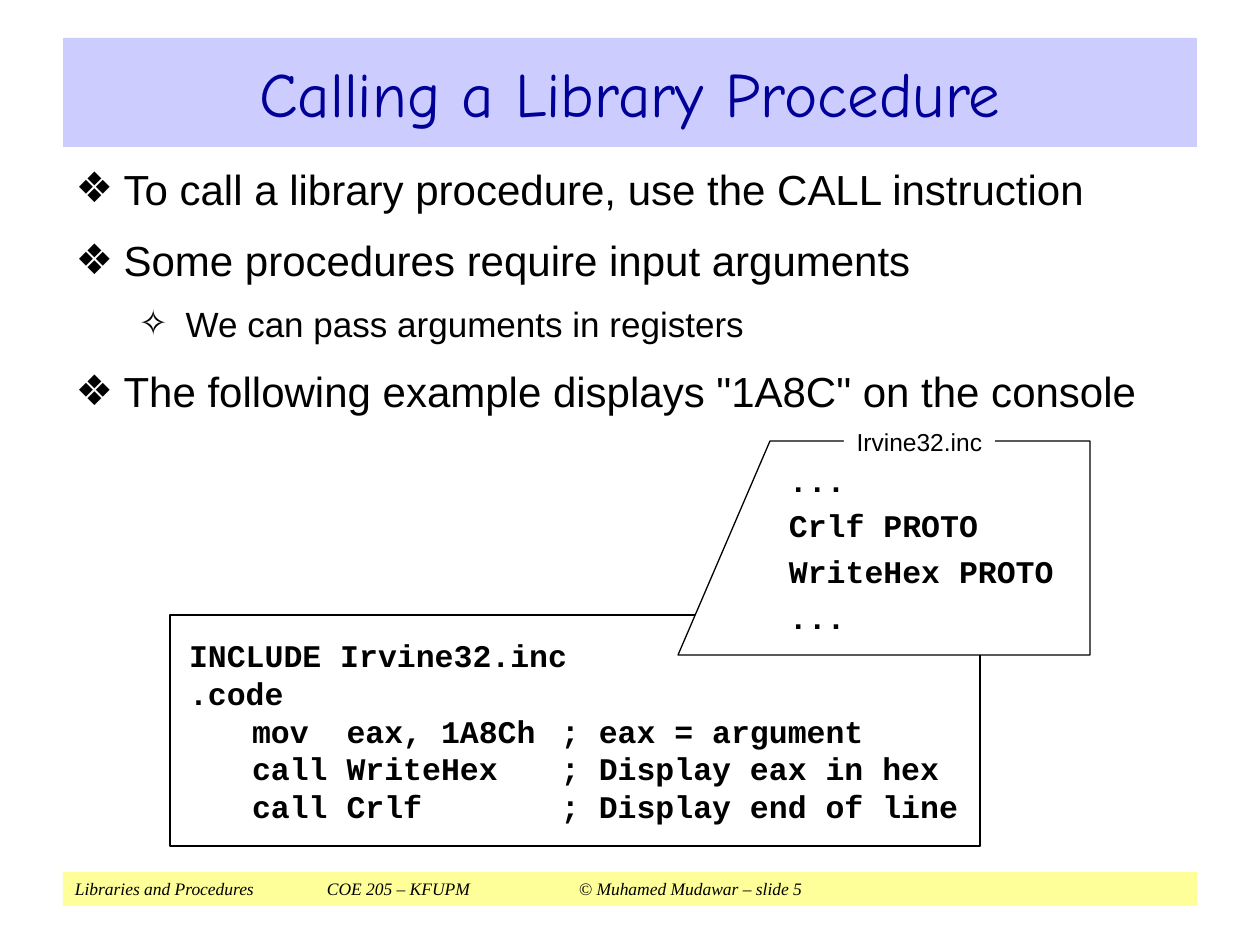
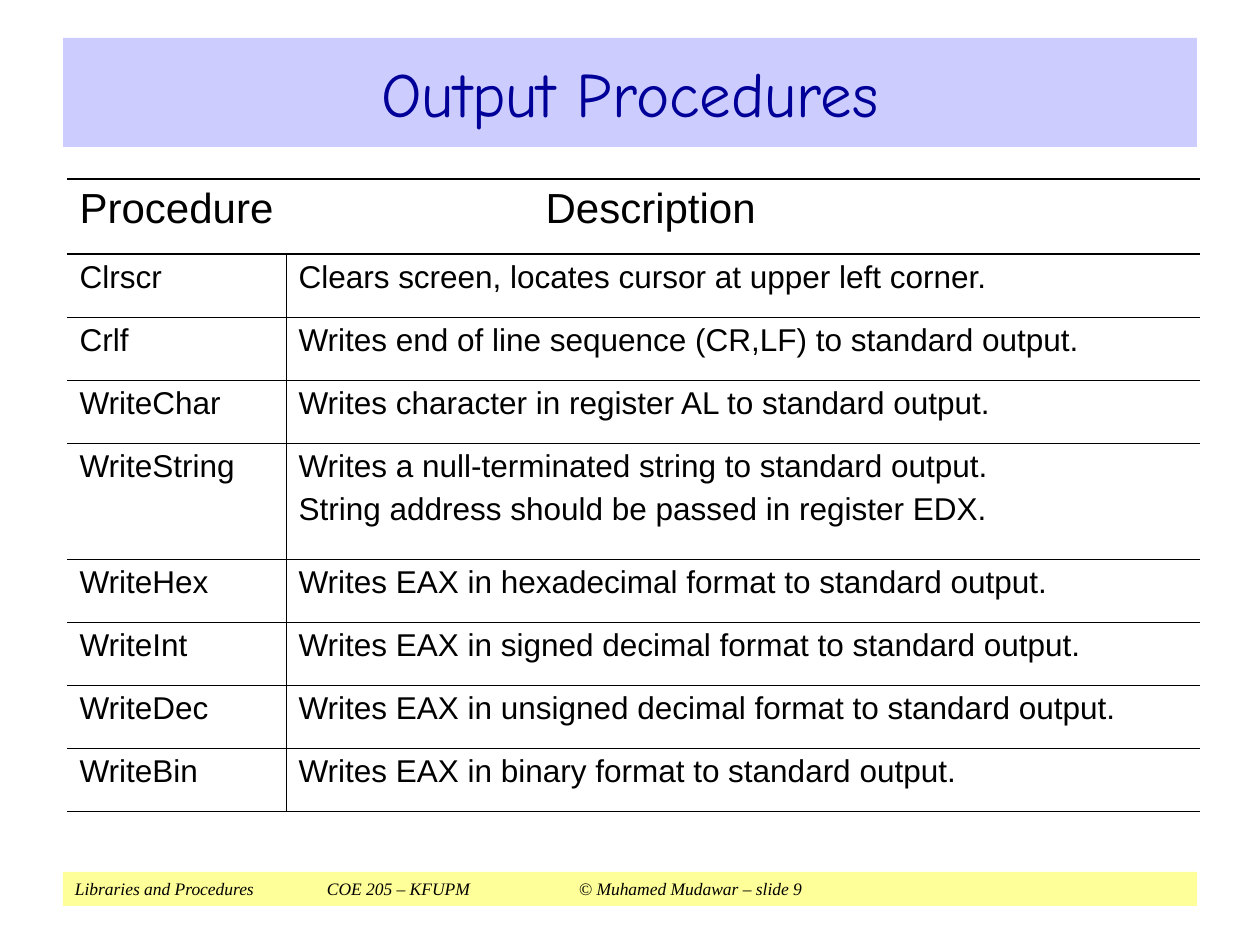
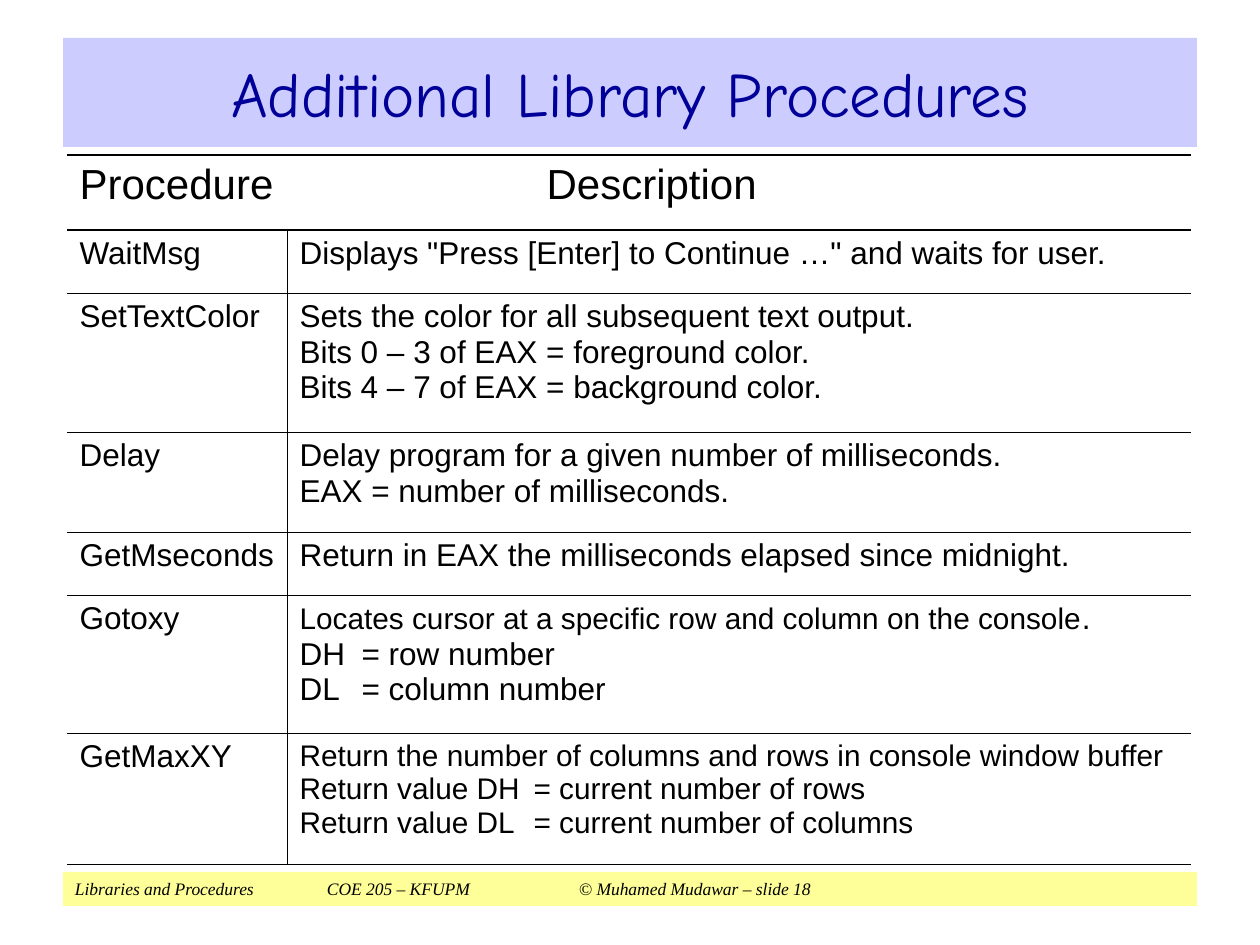
import dataclasses
import typing

import lxml.etree
import pptx
import pptx.dml.color
import pptx.enum.shapes
import pptx.enum.text
import pptx.oxml.ns
import pptx.util

RGB = pptx.dml.color.RGBColor
Pt = pptx.util.Pt
ALIGN = pptx.enum.text.PP_ALIGN
ANCHOR = pptx.enum.text.MSO_ANCHOR

SCALE = 914400 / 126  # EMU in one px
BLACK = RGB(0x00, 0x00, 0x00)
WHITE = RGB(0xFF, 0xFF, 0xFF)
NAVY = RGB(0x00, 0x00, 0x99)
LILAC = RGB(0xCC, 0xCC, 0xFF)
YELLOW = RGB(0xFF, 0xFF, 0x99)
THIN = 0.45


@dataclasses.dataclass(frozen=True)
class Style:
    font: str
    size: int
    color: RGB = BLACK
    bold: bool = False
    italic: bool = False


@dataclasses.dataclass(frozen=True)
class Box:
    left: int
    top: int
    width: int
    height: int


@dataclasses.dataclass(frozen=True)
class Bullet:
    char: str
    left: int
    hang: int
    space: int
    style: Style


@dataclasses.dataclass(frozen=True)
class Row:
    name: str
    text: str
    height: int = 63
    tabs: tuple[int, ...] = ()
    small: int = 0  # number of leading lines in the small style


@dataclasses.dataclass(frozen=True)
class Grid:
    top: int
    widths: tuple[int, int]
    head: int
    rule: float
    space: float
    rows: tuple[Row, ...]


TITLE = Style("Comic Neue", 36, NAVY)
LARGE = Style("Arial", 24)
MEDIUM = Style("Arial", 20)
CELL = Style("Arial", 18)
SMALL = Style("Arial", 17)
LABEL = Style("Arial", 14)
CODE = Style("Courier New", 18, bold=True)
FOOTER = Style("Times New Roman", 10, italic=True)

BAND = Box(63, 38, 1134, 109)
BODY = Box(63, 157, 1134, 709)
FOOT = Box(63, 872, 1134, 34)
BULLETS = (Bullet("❖", 48, 48, 12, LARGE), Bullet("✧", 110, 47, 10, MEDIUM))

POINTS = (
    (0, "To call a library procedure, use the CALL instruction"),
    (0, "Some procedures require input arguments"),
    (1, "We can pass arguments in registers"),
    (0, 'The following example displays "1A8C" on the console'),
)
PROGRAM = """INCLUDE Irvine32.inc
.code
\tmov  eax, 1A8Ch\t; eax = argument
\tcall WriteHex\t; Display eax in hex
\tcall Crlf\t; Display end of line"""
PROTOS = "...\nCrlf PROTO\nWriteHex PROTO\n..."

OUTPUT = Grid(179, (219, 914), 75, 1.08, 4.5, (
    Row("Clrscr", "Clears screen, locates cursor at upper left corner."),
    Row("Crlf", "Writes end of line sequence (CR,LF) to standard output."),
    Row("WriteChar", "Writes character in register AL to standard output."),
    Row("WriteString", "Writes a null-terminated string to standard output.\n"
        "String address should be passed in register EDX.", 116),
    Row("WriteHex", "Writes EAX in hexadecimal format to standard output."),
    Row("WriteInt", "Writes EAX in signed decimal format to standard output."),
    Row("WriteDec", "Writes EAX in unsigned decimal format to standard output."),
    Row("WriteBin", "Writes EAX in binary format to standard output."),
))
EXTRA = Grid(155, (220, 904), 75, 0.75, 0, (
    Row("WaitMsg", 'Displays "Press [Enter] to Continue …" and waits for user.'),
    Row("SetTextColor", "Sets the color for all subsequent text output.\n"
        "Bits 0 – 3 of EAX = foreground color.\n"
        "Bits 4 – 7 of EAX = background color.", 139),
    Row("Delay", "Delay program for a given number of milliseconds.\n"
        "EAX = number of milliseconds.", 100),
    Row("GetMseconds", "Return in EAX the milliseconds elapsed since midnight."),
    Row("Gotoxy", "Locates cursor at a specific row and column on the console\n"
        "DH\t= row number\nDL\t= column number", 138, (62,), 1),
    Row("GetMaxXY", "Return the number of columns and rows in console window buffer\n"
        "Return value DH\t= current number of rows\n"
        "Return value DL\t= current number of columns", 132, (234,), 3),
))


def emu(px: int) -> int:
    return round(px * SCALE)


def add_node(parent, tag: str, **attrs):
    node = lxml.etree.SubElement(parent, pptx.oxml.ns.qn(tag))
    for key, value in attrs.items():
        node.set(key, str(value))
    return node


def place(shape, box: Box) -> None:
    shape.left, shape.top = emu(box.left), emu(box.top)
    shape.width, shape.height = emu(box.width), emu(box.height)


def paint(run, style: Style) -> None:
    font = run.font
    font.name, font.size = style.font, Pt(style.size)
    font.bold, font.italic = style.bold, style.italic
    font.color.rgb = style.color


def set_tabs(para, stops: typing.Iterable[int]) -> None:
    tabs = add_node(para._p.get_or_add_pPr(), "a:tabLst")
    for stop in stops:
        add_node(tabs, "a:tab", pos=emu(stop), algn="l")


def write(frame, text: str, style: Style, align=ALIGN.LEFT,
          space: float = 0, tabs: tuple[int, ...] = ()) -> None:
    frame.text = text
    for index, para in enumerate(frame.paragraphs):
        if tabs:
            set_tabs(para, tabs)
        para.alignment = align
        para.space_before = Pt(space if index else 0)
        for run in para.runs:
            paint(run, style)


def finish(shape, fill: RGB | None, edge: bool) -> None:
    """Set the fill and outline and drop the shadow."""
    shape.shadow.inherit = False
    if fill is None:
        shape.fill.background()
    else:
        shape.fill.solid()
        shape.fill.fore_color.rgb = fill
    if edge:
        shape.line.color.rgb = BLACK
        shape.line.width = Pt(0.75)
    else:
        shape.line.fill.background()


def add_panel(slide, box: Box, fill: RGB | None, edge: bool = False,
              inset: tuple[int, int] = (19, 0), anchor=ANCHOR.MIDDLE):
    """Draw a rectangle and return its text frame."""
    shape = slide.shapes.add_shape(
        pptx.enum.shapes.MSO_SHAPE.RECTANGLE, 0, 0, 0, 0)
    place(shape, box)
    finish(shape, fill, edge)
    frame = shape.text_frame
    frame.word_wrap = True
    frame.vertical_anchor = anchor
    frame.margin_left = frame.margin_right = emu(inset[0])
    frame.margin_top = frame.margin_bottom = emu(inset[1])
    return frame


def add_slide(deck, layout: int, title: str, number: int):
    """Add a slide with the shared title band and footer."""
    slide = deck.slides.add_slide(deck.slide_layouts[layout])
    band = slide.shapes.title
    place(band, BAND)
    band.fill.solid()
    band.fill.fore_color.rgb = LILAC
    band.text_frame.auto_size = pptx.enum.text.MSO_AUTO_SIZE.NONE
    band.text_frame.vertical_anchor = ANCHOR.MIDDLE
    write(band.text_frame, title, TITLE, ALIGN.CENTER)
    frame = add_panel(slide, FOOT, YELLOW, inset=(12, 6), anchor=ANCHOR.TOP)
    write(frame, "Libraries and Procedures\tCOE 205 – KFUPM\t"
          f"© Muhamed Mudawar – slide {number}", FOOTER, tabs=(252, 504))
    return slide


def add_points(slide) -> None:
    body = slide.placeholders[1]
    place(body, BODY)
    frame = body.text_frame
    frame.auto_size = pptx.enum.text.MSO_AUTO_SIZE.NONE
    frame.text = "\n".join(text for _, text in POINTS)
    for index, (para, (level, _)) in enumerate(zip(frame.paragraphs, POINTS)):
        mark = BULLETS[level]
        para.level = level
        props = para._p.get_or_add_pPr()
        props.set("marL", str(emu(mark.left)))
        props.set("indent", str(-emu(mark.hang)))
        add_node(add_node(props, "a:buClr"), "a:srgbClr", val=BLACK)
        add_node(props, "a:buFont", typeface="Arial")
        add_node(props, "a:buChar", char=mark.char)
        para.space_before = Pt(mark.space if index else 0)
        for run in para.runs:
            paint(run, mark.style)


def add_code(slide) -> None:
    """Draw the program and the include file that overlaps it."""
    program = add_panel(slide, Box(170, 615, 810, 231), None, edge=True)
    write(program, PROGRAM, CODE, tabs=(63, 372))
    outline = slide.shapes.build_freeform(678, 655, scale=SCALE)
    outline.add_line_segments([(770, 441), (1090, 441), (1090, 655)], close=True)
    finish(outline.convert_to_shape(), WHITE, True)
    protos = add_panel(slide, Box(770, 449, 314, 198), WHITE)
    write(protos, PROTOS, CODE, space=4.5)
    label = add_panel(slide, Box(844, 427, 151, 29), WHITE,
                      inset=(4, 0), anchor=ANCHOR.TOP)
    write(label, "Irvine32.inc", LABEL, ALIGN.CENTER)


def set_edges(cell, left: float, right: float, top: float, bottom: float) -> None:
    """Set the border widths in points; zero means no line."""
    props = cell._tc.get_or_add_tcPr()
    for side, width in zip("LRTB", (left, right, top, bottom)):
        line = add_node(props, f"a:ln{side}", w=int(Pt(width)))
        if width:
            add_node(add_node(line, "a:solidFill"), "a:srgbClr", val=BLACK)
        else:
            add_node(line, "a:noFill")
    cell.fill.background()


def add_grid(slide, grid: Grid):
    heights = [grid.head] + [row.height for row in grid.rows]
    frame = slide.shapes.add_table(
        len(heights), 2, emu(67), emu(grid.top),
        emu(sum(grid.widths)), emu(sum(heights)))
    table = frame.table
    table.first_row = table.horz_banding = False
    for column, width in zip(table.columns, grid.widths):
        column.width = emu(width)
    for line, height in zip(table.rows, heights):
        line.height = emu(height)

    for col, text in enumerate(("Procedure", "Description")):
        cell = table.cell(0, col)
        write(cell.text_frame, text, LARGE)
        set_edges(cell, 0, 0, grid.rule, grid.rule)
    props = table.cell(0, 1).text_frame.paragraphs[0]._p.get_or_add_pPr()
    props.set("marL", str(emu(247)))

    for index, row in enumerate(grid.rows, 1):
        top = grid.rule if index == 1 else THIN
        name, about = table.cell(index, 0), table.cell(index, 1)
        write(name.text_frame, row.name, CELL)
        write(about.text_frame, row.text, CELL, space=grid.space, tabs=row.tabs)
        for para in about.text_frame.paragraphs[:row.small]:
            for run in para.runs:
                paint(run, SMALL)
        set_edges(name, 0, THIN, top, THIN)
        set_edges(about, THIN, 0, top, THIN)
    return table


def main() -> None:
    deck = pptx.Presentation()
    deck.slide_width, deck.slide_height = emu(1260), emu(945)

    call = add_slide(deck, 1, "Calling a Library Procedure", 5)
    add_points(call)
    add_code(call)

    add_grid(add_slide(deck, 5, "Output Procedures", 9), OUTPUT)

    more = add_slide(deck, 5, "Additional Library Procedures", 18)
    table = add_grid(more, EXTRA)
    stop = table.cell(5, 1).text_frame.paragraphs[0].add_run()
    stop.text = "."
    paint(stop, CELL)

    deck.save("out.pptx")


if __name__ == "__main__":
    main()
